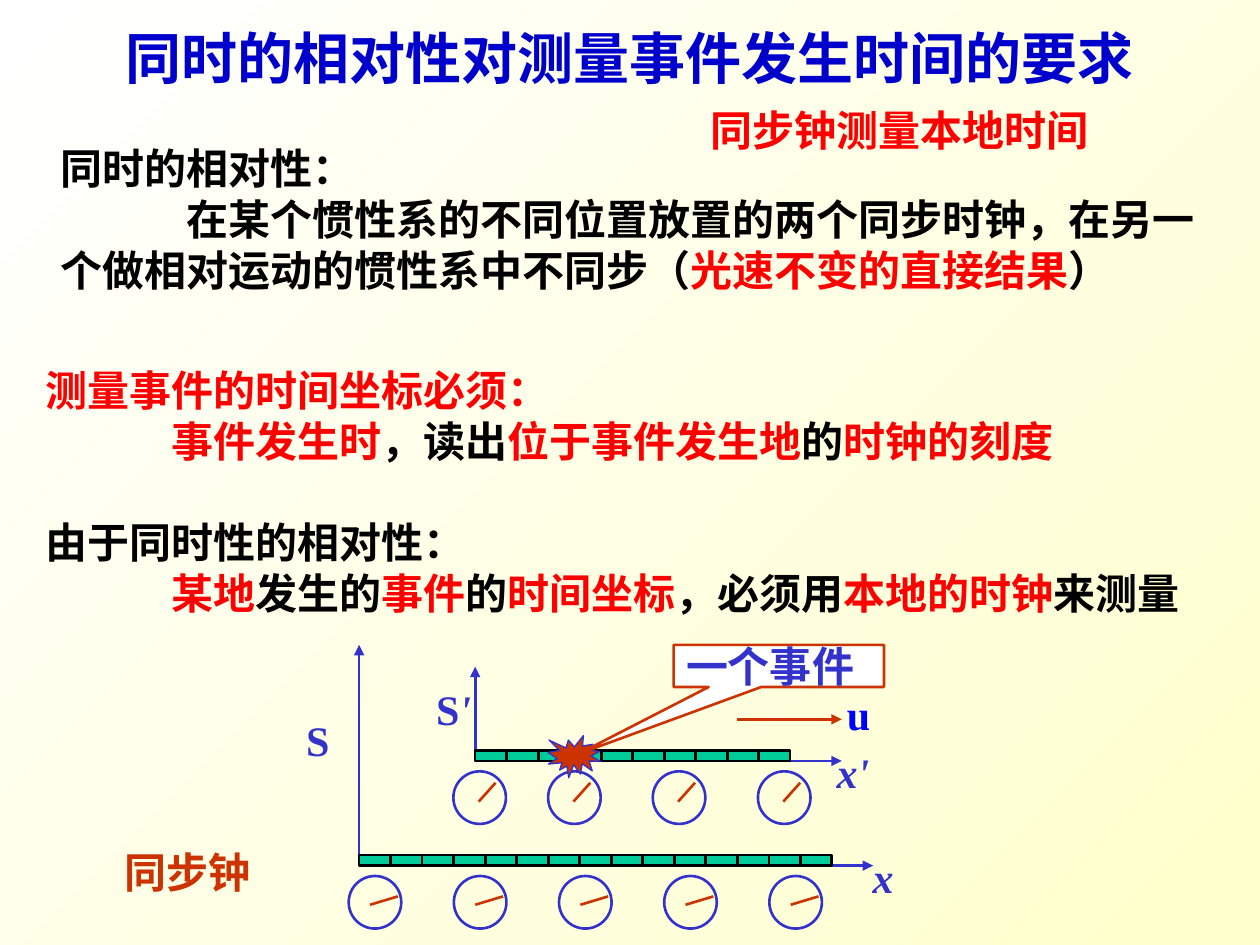
from dataclasses import dataclass

from lxml.etree import SubElement
from pptx import Presentation
from pptx.dml.color import RGBColor
from pptx.enum.shapes import MSO_CONNECTOR, MSO_SHAPE
from pptx.enum.text import MSO_ANCHOR, MSO_AUTO_SIZE, PP_ALIGN
from pptx.oxml.ns import qn
from pptx.util import Cm, Pt


@dataclass(frozen=True)
class Theme:
    """Colours, fonts and type sizes of the slide."""

    white: str = "FFFFFF"
    cream: str = "FFFFCC"
    black: str = "000000"
    red: str = "FF0000"
    navy: str = "0000CC"
    blue: str = "0000FF"
    indigo: str = "3333CC"
    rust: str = "CC3300"
    green: str = "00CC99"
    latin: str = "Times New Roman"
    chinese: str = "Noto Sans CJK SC"
    title_size: float = 32
    body_size: float = 24
    leading: float = 28.9
    stroke: float = 1.5


THEME = Theme()


def lengths(*values):
    """Convert centimetres to slide lengths."""
    return [Cm(value) for value in values]


def format_span(span, colour, size=THEME.body_size, latin=THEME.latin, italic=False):
    """Apply the bold type style to one run."""
    font = span.font
    font.size, font.bold, font.italic = Pt(size), True, italic
    font.color.rgb = RGBColor.from_string(colour)
    font.name = latin
    SubElement(span.font._element, qn("a:ea"), typeface=THEME.chinese)


def place(box, left, top, width, height):
    """Move and resize a placeholder."""
    box.left, box.top, box.width, box.height = lengths(left, top, width, height)
    box.text_frame.auto_size = MSO_AUTO_SIZE.NONE


def fill_title(box, text):
    """Fill the title placeholder."""
    place(box, 0, 0.33, 25.4, 1.63)
    box.text_frame.vertical_anchor = MSO_ANCHOR.MIDDLE
    box.text_frame.text = text
    format_span(box.text_frame.paragraphs[0].runs[0], THEME.navy,
                THEME.title_size, THEME.chinese)


def fill_body(box, position, sections):
    """Fill a body placeholder with headings and indented statements."""
    place(box, *position)
    frame = box.text_frame
    paragraphs = [(spans, indent) for section in sections
                  for spans, indent in zip(section, (0, 2.54))]
    for number, (spans, indent) in enumerate(paragraphs):
        para = frame.add_paragraph() if number else frame.paragraphs[0]
        properties = para._p.get_or_add_pPr()
        properties.set("marL", "0")
        properties.set("indent", str(Cm(indent)))
        SubElement(properties, qn("a:buNone"))
        para.line_spacing = Pt(THEME.leading)
        new_section = number and not indent
        para.space_before = Pt(THEME.leading if new_section else 0)
        for text, colour in spans:
            span = para.add_run()
            span.text = text
            format_span(span, colour)


def add_label(page, text, position, colour, italic=False):
    """Add a centred one-line label."""
    box = page.shapes.add_textbox(*lengths(*position))
    frame = box.text_frame
    frame.word_wrap = True
    frame.margin_left = frame.margin_right = 0
    frame.vertical_anchor = MSO_ANCHOR.MIDDLE
    para = frame.paragraphs[0]
    para.text = text
    para.alignment = PP_ALIGN.CENTER
    para.line_spacing = Pt(THEME.leading)
    format_span(para.runs[0], colour, italic=italic)
    return para


def add_line(page, start, end, colour, arrow=False):
    """Add a straight line, optionally with an arrowhead at its end."""
    line = page.shapes.add_connector(MSO_CONNECTOR.STRAIGHT, *lengths(*start, *end))
    line.line.color.rgb = RGBColor.from_string(colour)
    line.line.width = Pt(THEME.stroke)
    if arrow:
        SubElement(line.line._get_or_add_ln(), qn("a:tailEnd"), type="triangle")
    SubElement(line._element.spPr, qn("a:effectLst"))


def add_figure(page, kind, position, outline, fill=None, stroke=THEME.stroke):
    """Add a preset shape with an outline and an optional fill."""
    figure = page.shapes.add_shape(kind, *lengths(*position))
    figure.shadow.inherit = False
    figure.line.color.rgb = RGBColor.from_string(outline)
    figure.line.width = Pt(stroke)
    if fill:
        figure.fill.solid()
        figure.fill.fore_color.rgb = RGBColor.from_string(fill)
    else:
        figure.fill.background()
    return figure


def add_clock(page, left, top, hand):
    """Add a clock whose hand is given by offsets from its corner."""
    add_figure(page, MSO_SHAPE.OVAL, (left, top, 1.06, 1.06), THEME.indigo)
    start, end = [(left + across, top + down) for across, down in hand]
    add_line(page, start, end, THEME.rust)


def add_frame(page, origin, axis_ends, ruler_width, divisions, clocks, hand):
    """Add a reference frame: axes, divided ruler and a row of clocks."""
    left, bottom = origin
    right, top = axis_ends
    ruler_height = 0.21
    ruler_top = bottom - ruler_height
    add_line(page, origin, (left, top), THEME.indigo, arrow=True)
    add_line(page, origin, (right, bottom), THEME.indigo, arrow=True)
    add_figure(page, MSO_SHAPE.RECTANGLE,
               (left, ruler_top, ruler_width, ruler_height), THEME.black, THEME.green)
    for division in range(1, divisions):
        tick = left + division * ruler_width / divisions
        add_line(page, (tick, ruler_top), (tick, bottom), THEME.black)
    for clock in clocks:
        add_clock(page, clock, bottom + 0.21, hand)


def add_event(page, text):
    """Add the burst that marks the event and its callout."""
    add_figure(page, MSO_SHAPE.EXPLOSION1, (11.05, 14.83, 1.06, 0.85),
               THEME.indigo, THEME.rust, 0.75)
    callout = add_figure(page, MSO_SHAPE.RECTANGULAR_CALLOUT,
                         (13.58, 13, 4.24, 0.85), THEME.rust, THEME.white)
    callout.adjustments[0], callout.adjustments[1] = -0.955, 2.094
    frame = callout.text_frame
    frame.margin_top = frame.margin_bottom = 0
    frame.vertical_anchor = MSO_ANCHOR.MIDDLE
    para = frame.paragraphs[0]
    para.text = text
    para.alignment = PP_ALIGN.LEFT
    para.line_spacing = Pt(THEME.leading)
    format_span(para.runs[0], THEME.indigo)


def paint_background(page):
    """Shade the page diagonally from white to cream."""
    fill = page.background.fill
    fill.gradient()
    fill.gradient_angle = 315
    for stop, colour in zip(fill.gradient_stops, (THEME.white, THEME.cream)):
        stop.color.rgb = RGBColor.from_string(colour)


def main():
    """Build and save the slide."""
    deck = Presentation()
    deck.slide_width, deck.slide_height = lengths(25.4, 19.05)
    page = deck.slides.add_slide(deck.slide_layouts.get_by_name("Two Content"))
    paint_background(page)
    title, relativity, measurement = page.placeholders
    black, red = THEME.black, THEME.red

    fill_title(title, "同时的相对性对测量事件发生时间的要求")
    fill_body(relativity, (0.97, 2.75, 23.6, 3.3), [
        ([("同时的相对性：", black)],
         [("在某个惯性系的不同位置放置的两个同步时钟，在另一个做相对运动的惯性系中不同步（", black),
          ("光速不变的直接结果", red), ("）", black)])])
    fill_body(measurement, (0.67, 7.22, 24.21, 5.33), [
        ([("测量事件的时间坐标必须：", red)],
         [("事件发生时", red), ("，读出", black), ("位于事件发生地", red),
          ("的", black), ("时钟的刻度", red)]),
        ([("由于同时性的相对性：", black)],
         [("某地", red), ("发生的", black), ("事件", red), ("的", black),
          ("时间坐标", red), ("，必须用", black), ("本地的时钟", red),
          ("来测量", black)])])

    add_frame(page, (9.58, 15.34), (16.97, 13.44), 6.35, 10,
              (9.14, 11.05, 13.16, 15.28), ((0.51, 0.61), (0.85, 0.23)))
    add_frame(page, (7.24, 17.45), (17.6, 13), 9.53, 15,
              [7.03 + 2.12 * number for number in range(5)],
              ((0.43, 0.58), (0.99, 0.41)))
    add_event(page, "一个事件")
    add_line(page, (14.86, 14.5), (16.97, 14.5), THEME.rust, arrow=True)

    moving = add_label(page, "S", (8.51, 13.64, 1.27, 1.27), THEME.indigo)
    prime = moving.add_run()
    prime.text = "'"
    format_span(prime, THEME.indigo, italic=True)
    add_label(page, "S", (5.92, 14.27, 0.97, 1.27), THEME.indigo)
    add_label(page, "x'", (16.61, 14.91, 1.17, 1.27), THEME.indigo, italic=True)
    add_label(page, "x", (17.35, 17.04, 0.91, 1.27), THEME.indigo, italic=True)
    add_label(page, "u", (16.79, 13.74, 1.04, 1.27), THEME.blue)
    add_label(page, "同步钟", (1.78, 16.94, 4.01, 1.27), THEME.rust)
    add_label(page, "同步钟测量本地时间", (13.82, 1.98, 8.64, 1.27), THEME.red)
    deck.save("out.pptx")


if __name__ == "__main__":
    main()
